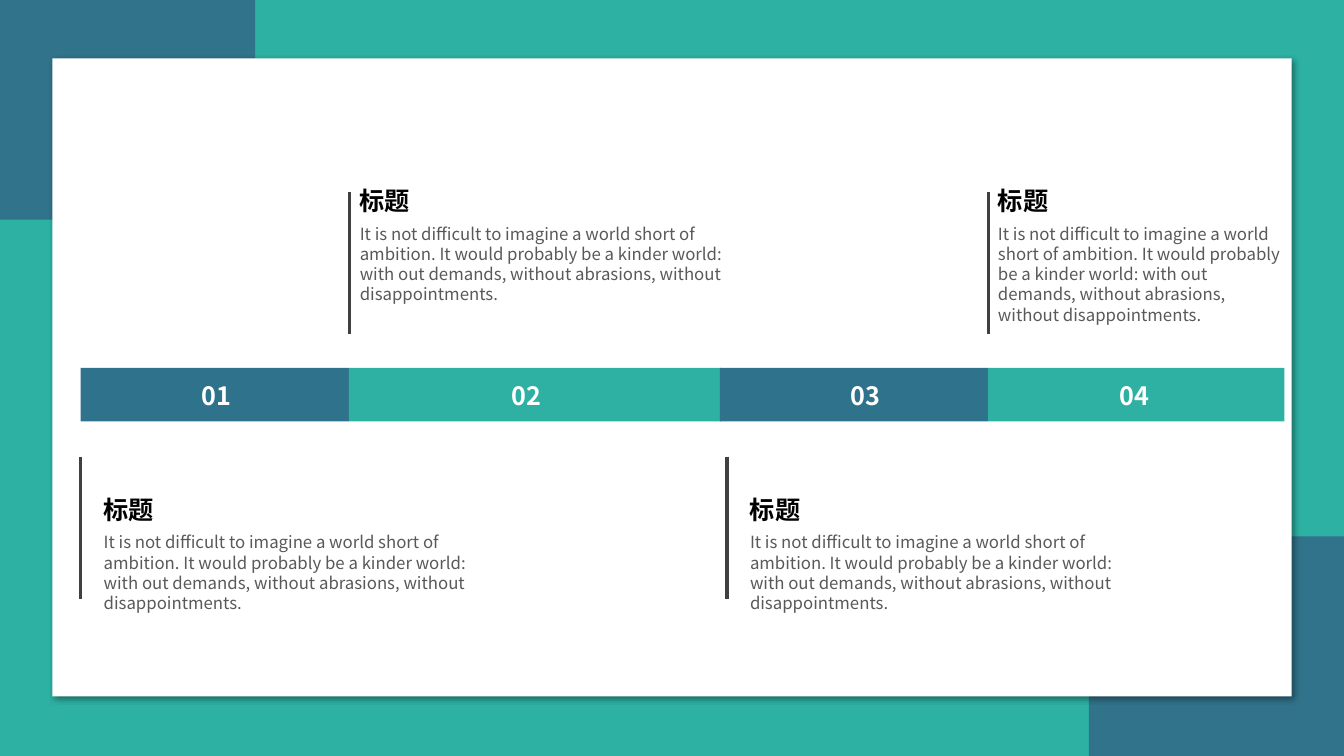
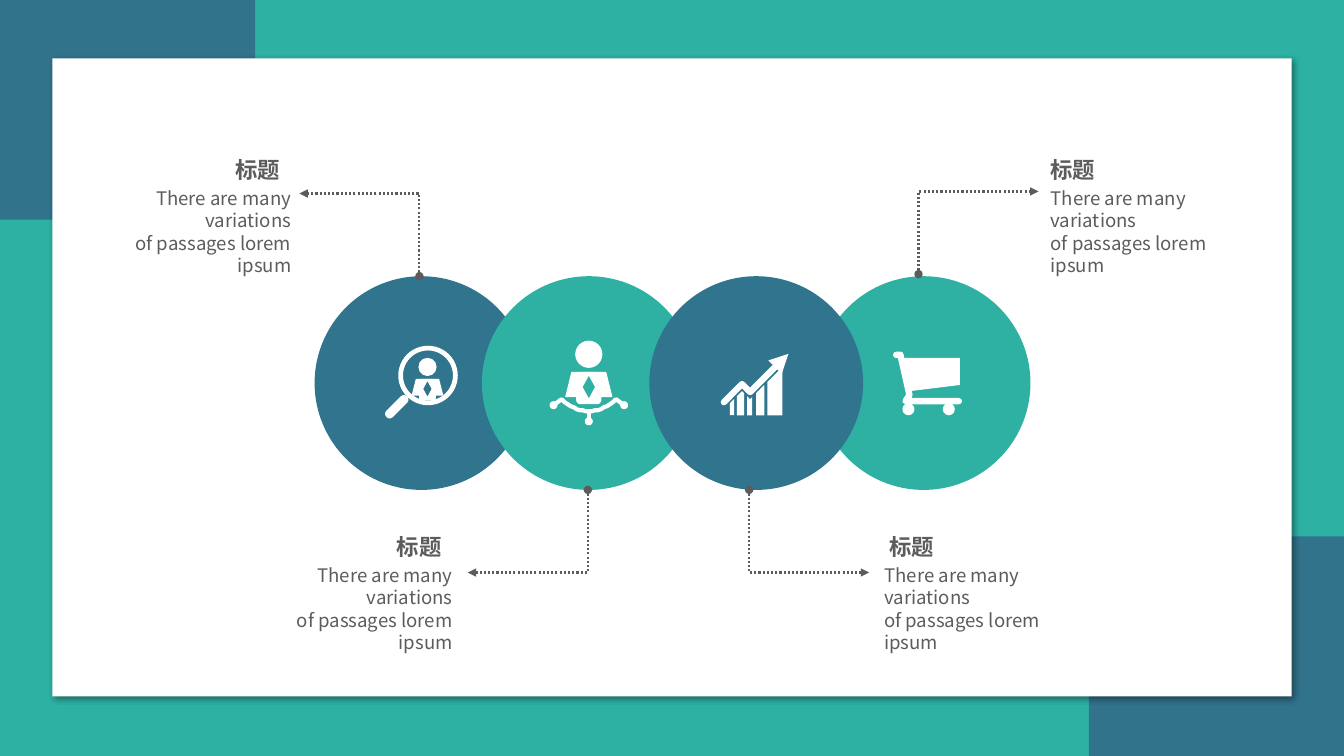
import lxml.etree
import pptx
import pptx.dml.color
import pptx.enum.dml
import pptx.enum.shapes
import pptx.enum.text
import pptx.oxml.ns
import pptx.util

RGBColor = pptx.dml.color.RGBColor
GREEN = RGBColor(0x2D, 0xB1, 0xA3)
CORNER_BLUE = RGBColor(0x31, 0x73, 0x8B)
BAR_BLUE = RGBColor(0x2F, 0x72, 0x8B)
CIRCLE_BLUE = RGBColor(0x30, 0x74, 0x8D)
TEAL = RGBColor(0x2E, 0xB0, 0xA2)
WHITE = RGBColor(0xFF, 0xFF, 0xFF)
BLACK = RGBColor(0, 0, 0)
RULE_GREY = RGBColor(0x40, 0x40, 0x40)
BODY_GREY = RGBColor(0x59, 0x59, 0x59)
LABEL_GREY = RGBColor(0x5C, 0x5C, 0x5C)
FONT = "Noto Sans CJK SC"

SHAPE = pptx.enum.shapes.MSO_SHAPE
CONNECTOR = pptx.enum.shapes.MSO_CONNECTOR
ALIGN = pptx.enum.text.PP_ALIGN
Pt = pptx.util.Pt
qn = pptx.oxml.ns.qn

# The slide is a grid of 1333 columns by 750 rows of square cells.
CELL = pptx.util.Inches(0.01)
COLS, ROWS = 1333, 750

NUMBER = {"size": Pt(18), "bold": True, "color": WHITE}
HEADING = {"size": Pt(18), "bold": True, "color": BLACK}
BODY = {"size": Pt(12), "bold": False, "color": BODY_GREY}
LABEL = {"size": Pt(16), "bold": True, "color": LABEL_GREY}
CAPTION = {"size": Pt(13.3), "bold": False, "color": LABEL_GREY}


def add_block(s, kind, box, color):
    """Add a plain filled shape; box is left, top, width, height in cells."""
    sp = s.shapes.add_shape(kind, *(round(v * CELL) for v in box))
    sp.shadow.inherit = False
    sp.fill.solid()
    sp.fill.fore_color.rgb = color
    sp.line.fill.background()
    return sp


def add_text(s, box, paragraphs):
    """Add a text box of (text, font format) paragraphs; box is in cells."""
    tf = s.shapes.add_textbox(*(v * CELL for v in box)).text_frame
    tf.word_wrap = True
    tf.auto_size = pptx.enum.text.MSO_AUTO_SIZE.SHAPE_TO_FIT_TEXT
    for i, (text, style) in enumerate(paragraphs):
        p = tf.add_paragraph() if i else tf.paragraphs[0]
        p.text = text
        for r in p.runs:
            r.font.name = FONT
            for name, value in style.items():
                if name == "color":
                    r.font.color.rgb = value
                else:
                    setattr(r.font, name, value)
            rPr = r._r.get_or_add_rPr()
            lxml.etree.SubElement(rPr, qn("a:ea")).set("typeface", FONT)
    return tf


prs = pptx.Presentation()
prs.slide_width, prs.slide_height = COLS * CELL, ROWS * CELL
blank = prs.slide_layouts[6]
timeline = prs.slides.add_slide(blank)
chain = prs.slides.add_slide(blank)

# Shared frame: background, two corners and a white panel on the layout
blank.background.fill.solid()
blank.background.fill.fore_color.rgb = GREEN
for ph in list(blank.placeholders):
    blank.shapes.element.remove(ph.element)
CORNER_W, CORNER_H = 253, 218
frame = [
    ((0, 0, CORNER_W, CORNER_H), CORNER_BLUE),
    ((COLS - CORNER_W, ROWS - CORNER_H, CORNER_W, CORNER_H), CORNER_BLUE),
    ((52, 58, 1229, 633), WHITE),
]
for box, color in frame:
    panel = add_block(timeline, SHAPE.RECTANGLE, box, color)
    blank.shapes.element.append(panel.element)
effects = panel.element.spPr.find(qn("a:effectLst"))
shadow = lxml.etree.SubElement(effects, qn("a:outerShdw"), blurRad=str(Pt(4)),
                               dist=str(Pt(3)), dir="2700000", algn="tl", rotWithShape="0")
tint = lxml.etree.SubElement(shadow, qn("a:srgbClr"), val="000000")
lxml.etree.SubElement(tint, qn("a:alpha"), val="40000")

# Slide 1: timeline bar; notes alternate below and above it
STORY = ("It is not difficult to imagine a world short of ambition. It would probably "
         "be a kinder world: with out demands, without abrasions, without disappointments.")
BAR_TOP, BAR_H, RULE_H = 365, 53, 141
BELOW = {"color": BAR_BLUE, "rule_top": 453, "note_top": 485, "gap": 13}
ABOVE = {"color": TEAL, "rule_top": 190, "note_top": 179, "gap": 0}
# bar left, bar width, number left, rule x, note width
parts = [
    (80, 266, 190, 80, 405),
    (346, 369, 498, 347, 405),
    (714, 266, 834, 721, 405),
    (980, 294, 1101, 980, 303),
]
for i, (left, width, number_left, rule_x, note_w) in enumerate(parts):
    place = ABOVE if i % 2 else BELOW
    add_block(timeline, SHAPE.RECTANGLE, (left, BAR_TOP, width, BAR_H), place["color"])
    add_text(timeline, (number_left, BAR_TOP + 7, 63, 41), [(f"{i + 1:02}", NUMBER)])
    rule = timeline.shapes.add_connector(
        CONNECTOR.STRAIGHT, rule_x * CELL, place["rule_top"] * CELL,
        rule_x * CELL, (place["rule_top"] + RULE_H) * CELL)
    rule.line.color.rgb = RULE_GREY
    rule.line.width = Pt(2.25)
    lxml.etree.SubElement(rule.element.spPr, qn("a:effectLst"))
    note_x, note_y = rule_x + place["gap"], place["note_top"]
    add_text(timeline, (note_x, note_y, 270, 40), [("标题", HEADING)])
    add_text(timeline, (note_x, note_y + 38, note_w, 91), [(STORY, BODY)])

# Slide 2: chain of four circles, the last one lying behind the third
RADIUS, STEP = 106, 166
MIDDLE_Y = 380
centres = [418 + i * STEP for i in range(4)]
for i in (3, 0, 1, 2):
    add_block(chain, SHAPE.OVAL, (centres[i] - RADIUS, MIDDLE_Y - RADIUS,
                                  2 * RADIUS, 2 * RADIUS), TEAL if i % 2 else CIRCLE_BLUE)

# Icons are placed in cells from the centre of their circle.
SEARCH, NETWORK, GROWTH, CART = centres

# Two busts of one design: circle centre, offset of head's top middle, scale, tie colour
busts = [(SEARCH, 6, -25, 0.67, CIRCLE_BLUE), (NETWORK, 0, -42, 1, TEAL)]
for centre, dx, dy, scale, tie_color in busts:
    # kind, top, width, height, colour
    bust = [
        (SHAPE.OVAL, 0, 27, 27, WHITE),
        (SHAPE.TRAPEZOID, 31, 47, 25, WHITE),
        (SHAPE.ROUNDED_RECTANGLE, 31, 25, 32, WHITE),
        (SHAPE.DIAMOND, 35, 12, 22, tie_color),
    ]
    for kind, top, w, h, color in bust:
        add_block(chain, kind, (centre + dx - w * scale / 2, MIDDLE_Y + dy + top * scale,
                                w * scale, h * scale), color)

# Magnifier
lens = add_block(chain, SHAPE.DONUT, (SEARCH - 23, MIDDLE_Y - 37, 59, 59), WHITE)
lens.adjustments[0] = 0.08
handle = add_block(chain, SHAPE.ROUNDED_RECTANGLE,
                   (SEARCH - 39, MIDDLE_Y + 19, 29, 9), WHITE)
handle.adjustments[0] = 0.5
handle.rotation = -45

# Network nodes and cart wheels
dots = [(NETWORK + dx, dy, 8) for dx, dy in ((-35, 22), (0, 38), (35, 22))]
dots += [(CART + dx, 26, 12) for dx in (-15, 25)]
for x, dy, size in dots:
    add_block(chain, SHAPE.OVAL, (x - size / 2, MIDDLE_Y + dy - size / 2, size, size), WHITE)

# Growth bars keep a fixed gap below the zigzag trend
trend = [(-32, 19), (-14, 1), (-6, 9), (32, -29)]
trend_y = {}
for (x0, y0), (x1, y1) in zip(trend, trend[1:]):
    for x in range(x0, x1 + 1):
        trend_y[x] = y0 + (y1 - y0) * (x - x0) / (x1 - x0)
BAR_GAP, BAR_BASE = 7, 32
solids = [(CART, [(-20, -25), (36, -25), (36, 2), (-13, 8)])]
for left, right in ((-26, -22), (-19, -12), (-9, -4), (0, 8), (11, 26)):
    top = [(x, trend_y[x] + BAR_GAP) for x in range(left, right + 1)]
    solids.append((GROWTH, top + [(right, BAR_BASE), (left, BAR_BASE)]))

# Strokes: the network's sagging parabola and stem, the trend, the cart's frame
SAG_HALF, SAG_TOP, SAG_DEPTH = 27, 16, 12
sag = [(x, SAG_TOP + SAG_DEPTH * (1 - (x / SAG_HALF) ** 2))
       for x in range(-SAG_HALF, SAG_HALF + 1, 3)]
strokes = [
    (NETWORK, [(-35, 22)] + sag + [(35, 22)], 3, "none"),
    (NETWORK, [(0, 28), (0, 38)], 3, "none"),
    (GROWTH, trend, 4.5, "triangle"),
    (CART, [(-27, -28), (-23, -28), (-14, 12), (-18, 18), (35, 18)], 4.5, "none"),
    (CART, [(-27, -28), (-23, -28)], 4.5, "none"),
]
outlines = [(centre, points, 0, "none") for centre, points in solids] + strokes
for centre, points, width, arrow in outlines:
    pen = chain.shapes.build_freeform(*points[0], scale=CELL)
    pen.add_line_segments(points[1:], close=not width)
    sp = pen.convert_to_shape(centre * CELL, MIDDLE_Y * CELL)
    sp.shadow.inherit = False
    if width:
        sp.fill.background()
        sp.line.color.rgb = WHITE
        sp.line.width = Pt(width)
        ln = sp.element.spPr.find(qn("a:ln"))
        ln.set("cap", "rnd")
        lxml.etree.SubElement(ln, qn("a:tailEnd"), type=arrow)
    else:
        sp.fill.solid()
        sp.fill.fore_color.rgb = WHITE
        sp.line.fill.background()

# Dotted callouts, each leaving its circle upright and then turning to its label
REACH, RISE = 119, 82
LABEL_W, LABEL_H = 208, 121
LEFT, RIGHT, UP, DOWN = -1, 1, -1, 1
LABEL_TOP = {UP: 155, DOWN: 529}
# start x, start y, side, direction, label left, title indent
callouts = [
    (911, 272, RIGHT, UP, 1042, 0),
    (416, 274, LEFT, UP, 81, 11),
    (743, 486, RIGHT, DOWN, 877, 5),
    (583, 486, LEFT, DOWN, 241, 11),
]
for x, y, side, direction, label_left, indent in callouts:
    c = chain.shapes.add_connector(
        CONNECTOR.ELBOW, x * CELL, y * CELL,
        (x + side * REACH) * CELL, (y + direction * RISE) * CELL)
    c.line.color.rgb = LABEL_GREY
    c.line.width = Pt(1.5)
    c.line.dash_style = pptx.enum.dml.MSO_LINE.ROUND_DOT
    spPr = c.element.spPr
    ln = spPr.find(qn("a:ln"))
    for end, arrow in (("a:headEnd", "oval"), ("a:tailEnd", "triangle")):
        lxml.etree.SubElement(ln, qn(end), type=arrow)
    lxml.etree.SubElement(spPr, qn("a:effectLst"))
    guides = spPr.find(qn("a:prstGeom")).find(qn("a:avLst"))
    lxml.etree.SubElement(guides, qn("a:gd"), name="adj1", fmla="val 0")

    tf = add_text(chain, (label_left, LABEL_TOP[direction], LABEL_W, LABEL_H), [
        ("标题", LABEL), ("There are many variations\vof passages lorem ipsum", CAPTION)])
    for margin in ("margin_left", "margin_top", "margin_right", "margin_bottom"):
        setattr(tf, margin, 0)
    title, caption = tf.paragraphs
    caption.space_before = Pt(2.7)
    for p, inset in ((title, indent), (caption, 0)):
        p.alignment = ALIGN.LEFT if side == RIGHT else ALIGN.RIGHT
        p._p.get_or_add_pPr().set("marL" if side == RIGHT else "marR", str(inset * CELL))

prs.save("out.pptx")
